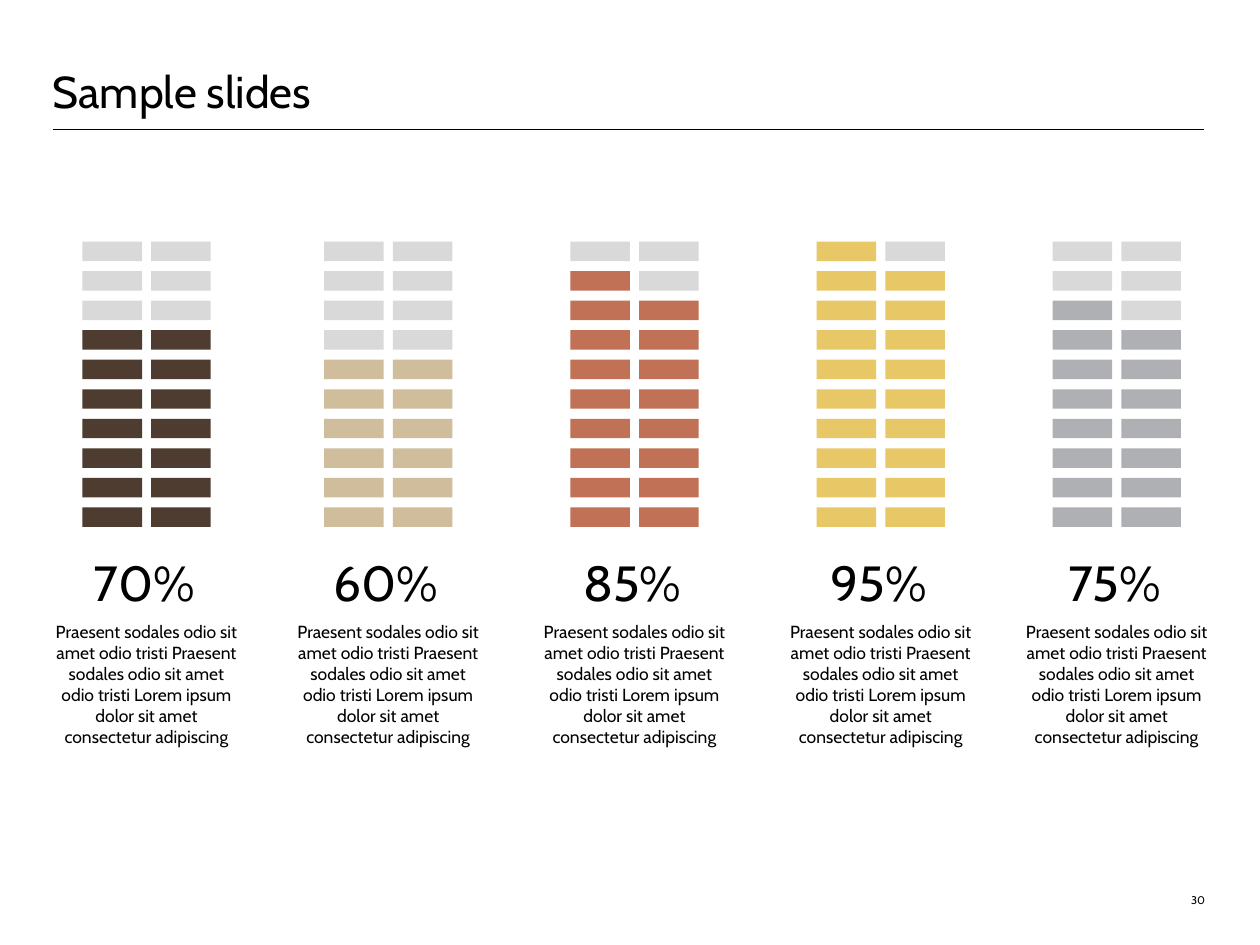
from dataclasses import dataclass

import lxml.etree
import pptx
import pptx.dml.color
import pptx.enum.shapes
import pptx.enum.text
import pptx.oxml.ns
import pptx.shapes.group
import pptx.slide
import pptx.text.text
import pptx.util

Inches = pptx.util.Inches
Align = pptx.enum.text.PP_ALIGN
Anchor = pptx.enum.text.MSO_ANCHOR


@dataclass(frozen=True)
class Theme:
    font: str = "Cabin"
    text: str = "000000"
    empty: str = "D9D9D9"
    title_size: float = 28
    percent_size: float = 31
    body_size: float = 11
    number_size: float = 7


@dataclass(frozen=True)
class Gauge:
    left: float
    percent: int
    color: str


THEME = Theme()
GAUGES = [
    Gauge(0.38, 70, "4D3C2F"),
    Gauge(2.49, 60, "CFBD9B"),
    Gauge(4.64, 85, "C07156"),
    Gauge(6.79, 95, "E8C767"),
    Gauge(8.85, 75, "AEB0B3"),
]
CAPTION = (
    "Praesent sodales odio sit amet odio tristi Praesent sodales odio sit amet "
    "odio tristi Lorem ipsum dolor sit amet consectetur adipiscing"
)
ROWS, COLUMNS = 10, 2
GRID_INDENT, GRID_TOP, BOTTOM_ROW = 0.34, 2.11, 4.43
CELL_WIDTH, CELL_HEIGHT, COLUMN_PITCH = 0.52, 0.17, 0.6
ROW_PITCH = (BOTTOM_ROW - GRID_TOP) / (ROWS - 1)


def rgb(color: str) -> pptx.dml.color.RGBColor:
    return pptx.dml.color.RGBColor.from_string(color)


def write(frame: pptx.text.text.TextFrame, text: str, size: float, align: Align) -> None:
    para = frame.paragraphs[0]
    para.alignment = align
    span = para.add_run()
    span.text = text
    span.font.name = THEME.font
    span.font.size = pptx.util.Pt(size)
    span.font.color.rgb = rgb(THEME.text)


def clear_margins(frame: pptx.text.text.TextFrame) -> None:
    frame.margin_left = frame.margin_right = frame.margin_top = frame.margin_bottom = 0


def add_title(page: pptx.slide.Slide, text: str) -> None:
    title = page.shapes.title
    title.left, title.top = Inches(0.46), Inches(0)
    title.width, title.height = Inches(10.05), Inches(1.03)
    frame = title.text_frame
    clear_margins(frame)
    frame.vertical_anchor = Anchor.BOTTOM
    frame.auto_size = pptx.enum.text.MSO_AUTO_SIZE.NONE
    write(frame, text, THEME.title_size, Align.LEFT)
    frame.paragraphs[0].line_spacing = pptx.util.Pt(32)


def add_rule(page: pptx.slide.Slide) -> None:
    rule = page.shapes.add_connector(
        pptx.enum.shapes.MSO_CONNECTOR.STRAIGHT,
        Inches(0.46), Inches(1.13), Inches(10.51), Inches(1.13),
    )
    rule.line.color.rgb = rgb(THEME.text)
    rule.line.width = pptx.util.Pt(0.75)
    properties = rule._element.spPr
    lxml.etree.SubElement(properties, pptx.oxml.ns.qn("a:effectLst"))


def add_page_number(page: pptx.slide.Slide, number: str) -> None:
    box = page.shapes.add_textbox(Inches(10.07), Inches(7.5), Inches(0.45), Inches(0.42))
    frame = box.text_frame
    frame.word_wrap = True
    clear_margins(frame)
    frame.vertical_anchor = Anchor.BOTTOM
    write(frame, number, THEME.number_size, Align.RIGHT)


def add_label(
    group: pptx.shapes.group.GroupShape, left: float, top: float, width: float,
    height: float, text: str, size: float, wrap: bool,
) -> None:
    box = group.shapes.add_textbox(Inches(left), Inches(top), Inches(width), Inches(height))
    box.text_frame.word_wrap = wrap
    box.text_frame.auto_size = pptx.enum.text.MSO_AUTO_SIZE.SHAPE_TO_FIT_TEXT
    write(box.text_frame, text, size, Align.CENTER)


def add_cell(
    group: pptx.shapes.group.GroupShape, left: float, top: float, color: str
) -> None:
    cell = group.shapes.add_shape(
        pptx.enum.shapes.MSO_SHAPE.RECTANGLE,
        Inches(left), Inches(top), Inches(CELL_WIDTH), Inches(CELL_HEIGHT),
    )
    cell.shadow.inherit = False
    cell.fill.solid()
    cell.fill.fore_color.rgb = rgb(color)
    cell.line.fill.background()


def add_gauge(page: pptx.slide.Slide, gauge: Gauge) -> None:
    """Fill the cells from the bottom up, left before right."""
    group = page.shapes.add_group_shape()
    add_label(group, gauge.left, 5.37, 1.8, 1.21, CAPTION, THEME.body_size, True)
    add_label(group, gauge.left + 0.32, 4.77, 1.12, 0.62,
              f"{gauge.percent}%", THEME.percent_size, False)
    filled = gauge.percent * ROWS * COLUMNS // 100
    for index in range(ROWS * COLUMNS):
        row, column = divmod(index, COLUMNS)
        add_cell(
            group,
            gauge.left + GRID_INDENT + column * COLUMN_PITCH,
            BOTTOM_ROW - row * ROW_PITCH,
            gauge.color if index < filled else THEME.empty,
        )


def main() -> None:
    deck = pptx.Presentation()
    deck.slide_width, deck.slide_height = Inches(11), Inches(8.25)
    page = deck.slides.add_slide(deck.slide_layouts.get_by_name("Title Only"))
    add_rule(page)
    add_page_number(page, "30")
    add_title(page, "Sample slides")
    for gauge in GAUGES:
        add_gauge(page, gauge)
    deck.save("out.pptx")


if __name__ == "__main__":
    main()
